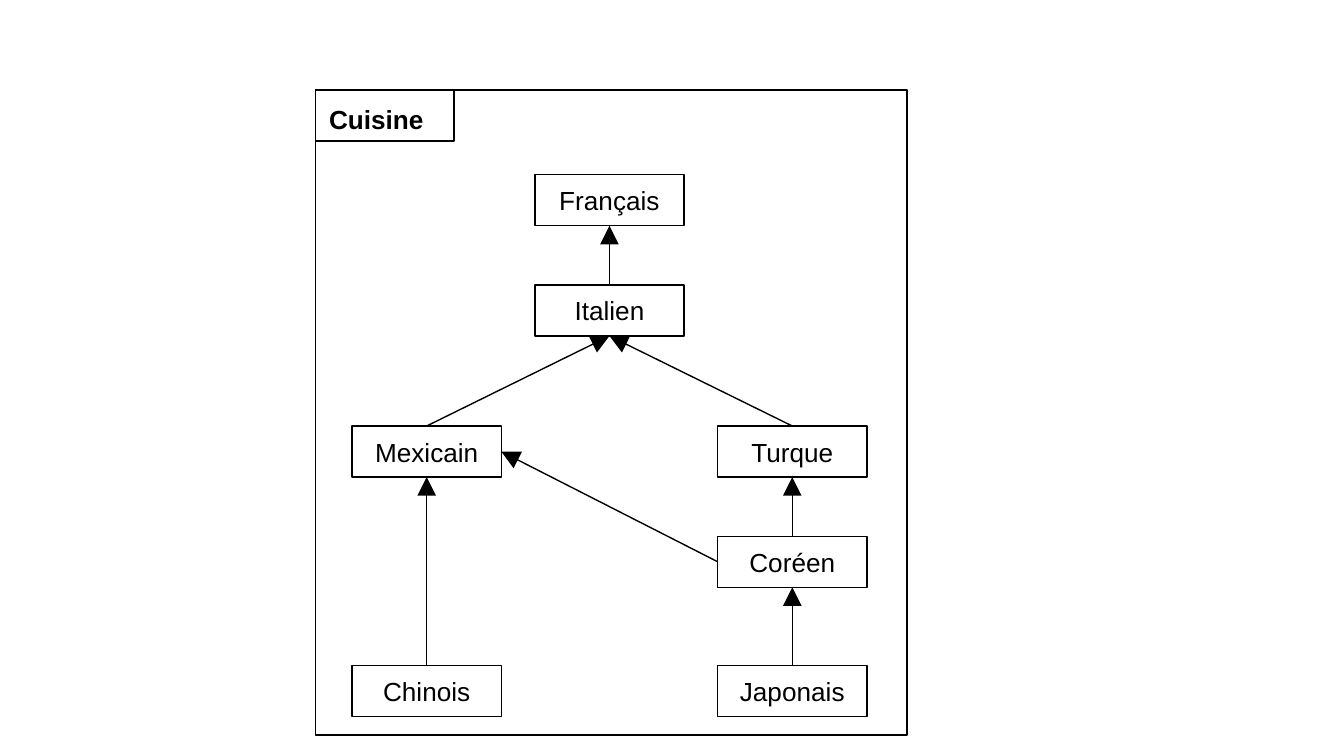
"""Draw the hierarchy of cuisines as linked boxes inside a titled frame."""
import dataclasses

import lxml.etree
import pptx
import pptx.dml.color
import pptx.enum.shapes
import pptx.enum.text
import pptx.oxml.ns
import pptx.util


@dataclasses.dataclass(frozen=True)
class Theme:
    ink: pptx.dml.color.RGBColor = pptx.dml.color.RGBColor(0, 0, 0)
    font: str = "Arial"
    text_size: float = 14
    line_width: float = 0.75
    inset: float = 0.1


THEME = Theme()
SLIDE_WIDTH = 10
SLIDE_HEIGHT = SLIDE_WIDTH * 9 / 16
BOX_SIZE = (1.11, 0.38)
FIRST_COLUMN, COLUMN_STEP = 2.62, 1.36
ROWS = (1.3, 2.12, 3.17, 3.99, 4.95)
FRAME = (2.35, 0.67, 4.4, 4.8)
TAB_SIZE = (1.03, 0.38)
TOP, LEFT, BOTTOM, RIGHT = range(4)

CUISINES = {
    "Chinois": (0, 4),
    "Japonais": (2, 4),
    "Coréen": (2, 3),
    "Turque": (2, 2),
    "Mexicain": (0, 2),
    "Italien": (1, 1),
    "Français": (1, 0),
}
LINKS = (
    ("Japonais", TOP, "Coréen", BOTTOM),
    ("Coréen", TOP, "Turque", BOTTOM),
    ("Chinois", TOP, "Mexicain", BOTTOM),
    ("Coréen", LEFT, "Mexicain", RIGHT),
    ("Turque", TOP, "Italien", BOTTOM),
    ("Mexicain", TOP, "Italien", BOTTOM),
    ("Italien", TOP, "Français", BOTTOM),
)


def style_line(line):
    line.color.rgb = THEME.ink
    line.width = pptx.util.Pt(THEME.line_width)


def add_box(page, left, top, width, height):
    box = page.shapes.add_shape(
        pptx.enum.shapes.MSO_SHAPE.RECTANGLE,
        *(pptx.util.Inches(length) for length in (left, top, width, height)),
    )
    box.shadow.inherit = False
    box.fill.background()
    style_line(box.line)
    return box


def write_text(box, text, *, bold=False, align="CENTER", anchor="MIDDLE"):
    frame = box.text_frame
    frame.word_wrap = True
    frame.vertical_anchor = pptx.enum.text.MSO_ANCHOR[anchor]
    inset = pptx.util.Inches(THEME.inset)
    frame.margin_left = frame.margin_right = inset
    frame.margin_top = frame.margin_bottom = inset
    para = frame.paragraphs[0]
    para.alignment = pptx.enum.text.PP_ALIGN[align]
    span = para.add_run()
    span.text = text
    span.font.name = THEME.font
    span.font.size = pptx.util.Pt(THEME.text_size)
    span.font.bold = bold
    span.font.color.rgb = THEME.ink


def add_cuisine(page, name, column, row):
    left = FIRST_COLUMN + column * COLUMN_STEP
    box = add_box(page, left, ROWS[row], *BOX_SIZE)
    write_text(box, name)
    return box


def add_arrow(page, start, start_side, end, end_side):
    arrow = page.shapes.add_connector(
        pptx.enum.shapes.MSO_CONNECTOR.STRAIGHT, 0, 0, 0, 0
    )
    arrow.begin_connect(start, start_side)
    arrow.end_connect(end, end_side)
    style_line(arrow.line)
    qualify = pptx.oxml.ns.qn
    properties = arrow.element.spPr
    lxml.etree.SubElement(
        properties.find(qualify("a:ln")),
        qualify("a:tailEnd"),
        type="triangle",
        w="lg",
        len="lg",
    )
    lxml.etree.SubElement(properties, qualify("a:effectLst"))


def main():
    deck = pptx.Presentation()
    deck.slide_width = pptx.util.Inches(SLIDE_WIDTH)
    deck.slide_height = pptx.util.Inches(SLIDE_HEIGHT)
    page = deck.slides.add_slide(deck.slide_layouts[6])
    boxes = {
        name: add_cuisine(page, name, *cell) for name, cell in CUISINES.items()
    }
    for start, start_side, end, end_side in LINKS:
        add_arrow(page, boxes[start], start_side, boxes[end], end_side)
    add_box(page, *FRAME)
    tab = add_box(page, *FRAME[:2], *TAB_SIZE)
    write_text(tab, "Cuisine", bold=True, align="LEFT", anchor="TOP")
    deck.save("out.pptx")


if __name__ == "__main__":
    main()
